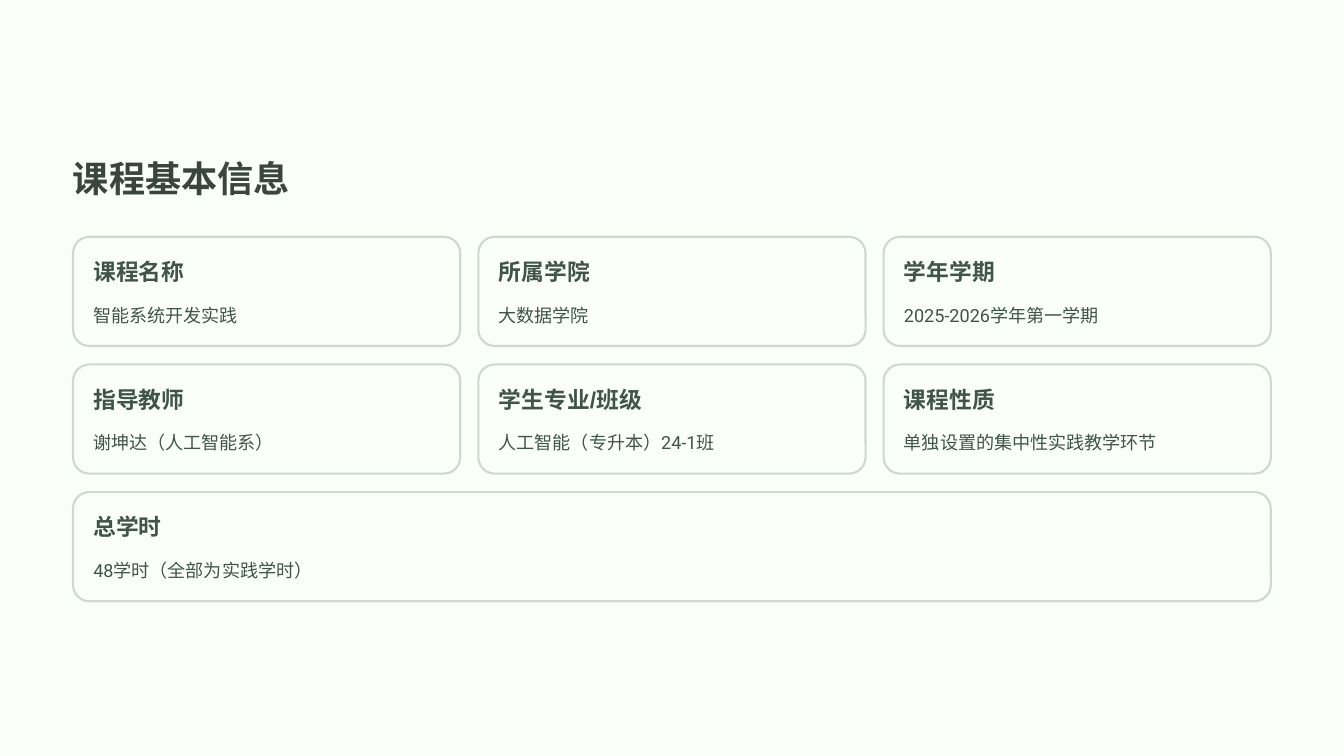
from pptx import Presentation
from pptx.dml.color import RGBColor
from pptx.enum import shapes
from pptx.util import Pt

PAPER = RGBColor(0xFA, 0xFF, 0xFA)
EDGE = RGBColor(0xCE, 0xD9, 0xCE)
DARK = RGBColor(0x3B, 0x45, 0x40)
GREEN = RGBColor(0x40, 0x54, 0x49)

# Card grid
LEFT, TOP = 62.6, 203
WIDTH, HEIGHT = 331.9, 93.6
STEP_X, STEP_Y = 347.4, 109.4
PAD = 17.4

deck = Presentation()
deck.slide_width, deck.slide_height = Pt(1152), Pt(648)
slide = deck.slides.add_slide(deck.slide_layouts[6])
slide.background.fill.solid()
slide.background.fill.fore_color.rgb = PAPER


def add_text(words, x, y, w, h, size, lead, font, color, bold):
    box = slide.shapes.add_textbox(Pt(x), Pt(y), Pt(w), Pt(h))
    frame = box.text_frame
    frame.margin_left = frame.margin_right = 0
    frame.margin_top = frame.margin_bottom = 0
    frame.word_wrap = False
    frame.text = words
    line = frame.paragraphs[0]
    line.line_spacing = Pt(lead)
    face = line.runs[0].font
    face.name, face.size, face.bold = font, Pt(size), bold
    face.color.rgb = color


# Title
add_text("课程基本信息", LEFT, 132.5, 312.5, 39, 31, 39, "Arial", DARK, True)

# Cards: heading, detail, columns spanned
cards = [
    ("课程名称", "智能系统开发实践", 1),
    ("所属学院", "大数据学院", 1),
    ("学年学期", "2025-2026学年第一学期", 1),
    ("指导教师", "谢坤达（人工智能系）", 1),
    ("学生专业/班级", "人工智能（专升本）24-1班", 1),
    ("课程性质", "单独设置的集中性实践教学环节", 1),
    ("总学时", "48学时（全部为实践学时）", 3),
]
for i, (head, detail, span) in enumerate(cards):
    row, col = divmod(i, 3)
    x, y = LEFT + col * STEP_X, TOP + row * STEP_Y
    w = WIDTH + (span - 1) * STEP_X
    card = slide.shapes.add_shape(
        shapes.MSO_SHAPE.ROUNDED_RECTANGLE, Pt(x), Pt(y), Pt(w), Pt(HEIGHT))
    card.adjustments[0] = 0.15
    card.shadow.inherit = False
    card.fill.solid()
    card.fill.fore_color.rgb = PAPER
    card.line.color.rgb = EDGE
    card.line.width = Pt(1.8)
    add_text(head, x + PAD, y + 17.3, 195, 24.5,
             19.5, 24, "Arial", GREEN, True)
    add_text(detail, x + PAD, y + 51.1, w - 2 * PAD, 25.2,
             15.5, 25, "Roboto", GREEN, False)

deck.save("out.pptx")
